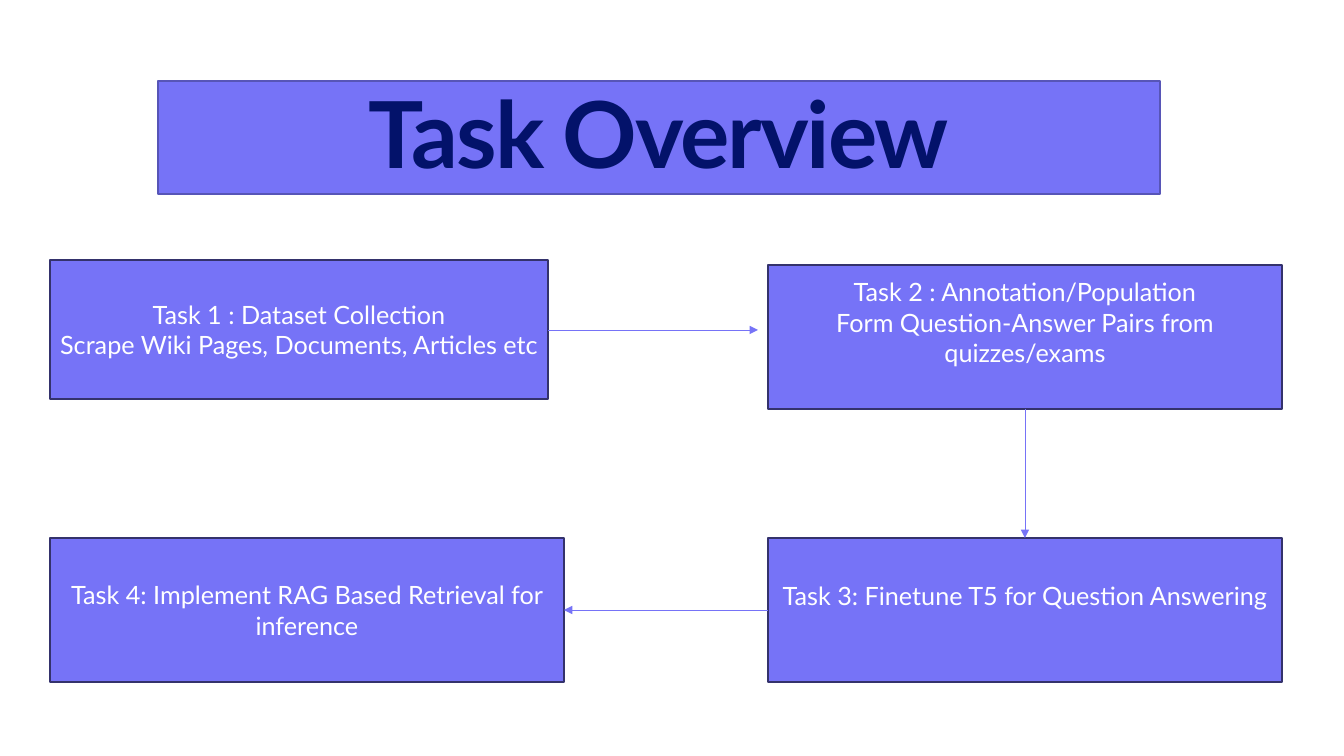
from lxml.etree import SubElement
from pptx import Presentation
from pptx.dml.color import RGBColor
from pptx.enum.shapes import MSO_CONNECTOR, MSO_SHAPE
from pptx.enum.text import MSO_ANCHOR, MSO_AUTO_SIZE, PP_ALIGN
from pptx.oxml.ns import qn
from pptx.util import Inches, Pt


def px(length):
    return Inches(length / 100.8)


def paint(color_format, hex_color):
    color_format.rgb = RGBColor.from_string(hex_color)


VIOLET = "7673F7"
LINE_HEIGHT = 30

deck = Presentation()
deck.slide_width, deck.slide_height = px(1344), px(756)
slide = deck.slides.add_slide(deck.slide_layouts[5])

heading = slide.shapes.title
heading.left, heading.top, heading.width, heading.height = px(158), px(81), px(1002), px(113)
heading.fill.solid()
paint(heading.fill.fore_color, VIOLET)
paint(heading.line.color, "5755B7")
heading.line.width = Pt(1)
heading_text = heading.text_frame
heading_text.text = "Task Overview"
heading_text.auto_size = MSO_AUTO_SIZE.NONE
heading_text.vertical_anchor = MSO_ANCHOR.BOTTOM
heading_line = heading_text.paragraphs[0]
heading_line.alignment = PP_ALIGN.CENTER
heading_line.line_spacing = 0.9
heading_font = heading_line.runs[0].font
heading_font.name, heading_font.size, heading_font.bold = "Lato", Pt(66), True
paint(heading_font.color, "03126A")
heading_font._element.set("spc", "-150")

tasks = [
    (50, 260, 498, 139, 0, "Task 1 : Dataset Collection\nScrape Wiki Pages, Documents, Articles etc"),
    (768, 265, 514, 144, 1, "Task 2 : Annotation/Population\nForm Question-Answer Pairs from quizzes/exams"),
    (768, 538, 514, 144, 1, "Task 3: Finetune T5 for Question Answering"),
    (50, 538, 514, 144, 0, "Task 4: Implement RAG Based Retrieval for inference"),
]
for left, top, width, height, lines_below, wording in tasks:
    task = slide.shapes.add_shape(MSO_SHAPE.RECTANGLE, px(left), px(top), px(width), px(height))
    task.shadow.inherit = False
    task.fill.solid()
    paint(task.fill.fore_color, VIOLET)
    paint(task.line.color, "34326C")
    task.line.width = Pt(1)
    task_text = task.text_frame
    task_text.text = wording
    task_text.word_wrap = True
    task_text.vertical_anchor = MSO_ANCHOR.MIDDLE
    task_text.margin_bottom = px(5 + lines_below * LINE_HEIGHT)
    for line in task_text.paragraphs:
        line.alignment = PP_ALIGN.CENTER
        font = line.runs[0].font
        font.name, font.size = "Lato", Pt(18)
        paint(font.color, "FFFFFF")

steps = [(548, 330, 758, 330), (1025, 409, 1025, 538), (768, 610, 564, 610)]
for ends in steps:
    arrow = slide.shapes.add_connector(MSO_CONNECTOR.STRAIGHT, *map(px, ends))
    paint(arrow.line.color, VIOLET)
    arrow.line.width = Pt(0.5)
    SubElement(arrow.line._get_or_add_ln(), qn("a:tailEnd"), type="triangle")
    SubElement(arrow._element.spPr, qn("a:effectLst"))

deck.save("out.pptx")
